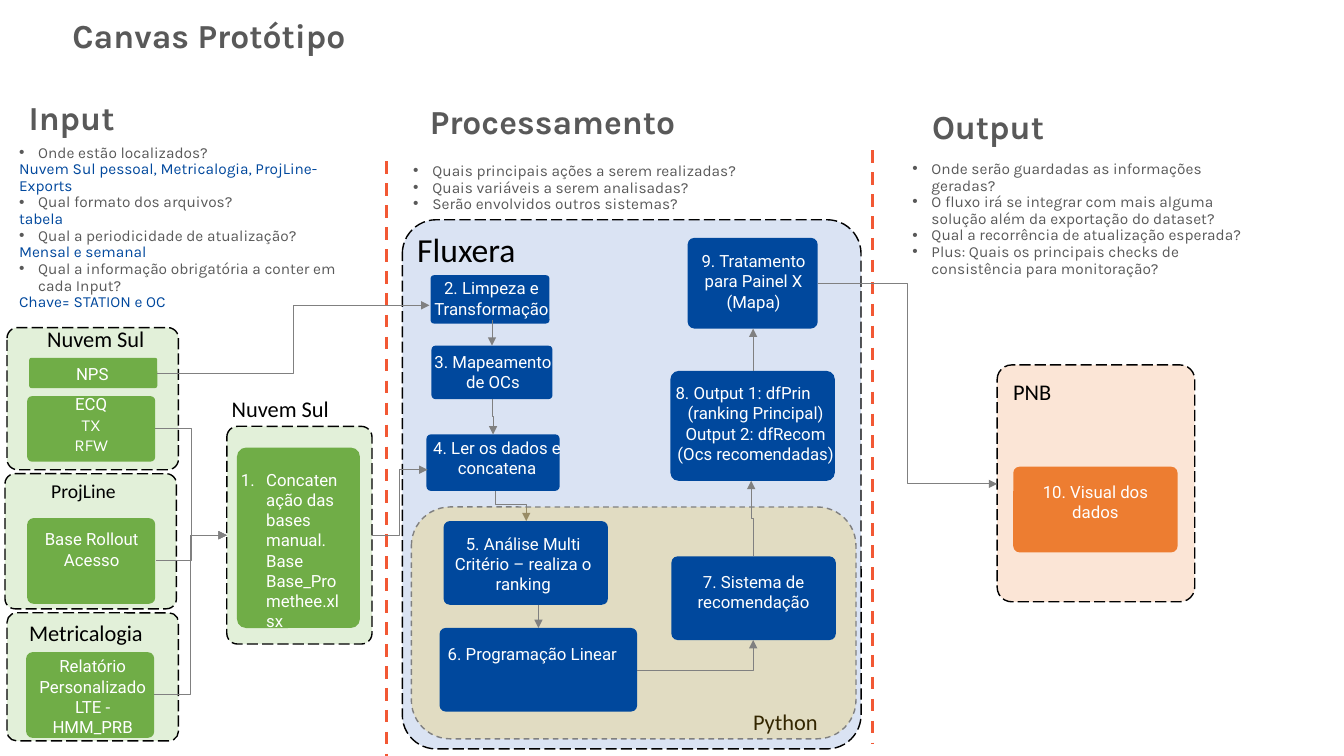
from lxml import etree
from pptx import Presentation
from pptx.dml import color
from pptx.enum import dml, shapes, text
from pptx.oxml import ns
from pptx.util import Inches, Pt


class Theme:
    head, body, label, dot = "Karla", "Roboto", "Calibri", "Arial"
    gray, blue, black, white = "595959", "00489D", "000000", "FFFFFF"
    green, orange, gold, link, rule = "70AD47", "ED7D31", "FFC000", "808080", "F25834"
    mint, sky, peach = "E2F0D9", "DAE3F3", "FBE5D6"
    big, mid, sub, box, ask = 24, 16, 14, 12, 11
    round = 0.074


# Content: places are left, top, width, height
HEADS = [
    ("Canvas Protótipo", (0.62, 0.07, 11.51, 0.6), "l"),
    ("Input", (-0.48, 0.84, 2.38, 0.69), "c"),
    ("Processamento", (4.15, 0.88, 2.66, 0.69), "c"),
    ("Output", (8.47, 0.93, 2.66, 0.69), "c"),
]
# Each question with its answer
ASKS = [
    ((0.09, 1.35, 3.61, 1.82), [
        ("Onde estão localizados?", "Nuvem Sul pessoal, Metricalogia, ProjLine-Exports"),
        ("Qual formato dos arquivos?", "tabela"),
        ("Qual a periodicidade de atualização?", "Mensal e semanal"),
        ("Qual a informação obrigatória a conter em cada Input?", "Chave= STATION e OC")]),
    ((4, 1.22, 3.49, 1.29), [
        ("Quais principais ações a serem realizadas?", ""),
        ("Quais variáveis a serem analisadas?", ""),
        ("Serão envolvidos outros sistemas?", "")]),
    ((8.95, 1.53, 3.49, 1.29), [
        ("Onde serão guardadas as informações geradas?", ""),
        ("O fluxo irá se integrar com mais alguma solução além da exportação do dataset?", ""),
        ("Qual a recorrência de atualização esperada?", ""),
        ("Plus: Quais os principais checks de consistência para monitoração?", "")]),
]
PANELS = [
    ((9.89, 3.62, 1.96, 2.35), Theme.peach),
    ((0.05, 4.7, 1.7, 1.34), Theme.mint),
    ((0.07, 6.08, 1.7, 1.27), Theme.mint),
    ((0.07, 3.25, 1.7, 1.41), Theme.mint),
    ((2.25, 4.23, 1.44, 2.16), Theme.mint),
    ((3.99, 2.18, 4.55, 5.25), Theme.sky),
]
LABELS = [
    ("Nuvem Sul", (0.37, 3.18, 1.35, 0.37), Theme.mid),
    ("ProjLine", (0.41, 4.7, 1.04, 0.34), Theme.sub),
    ("Metricalogia", (0.19, 6.09, 1.5, 0.37), Theme.mid),
    ("Nuvem Sul", (2.2, 3.87, 1.35, 0.37), Theme.mid),
    ("Fluxera", (4.04, 2.22, 1.5, 0.5), Theme.big),
    ("PNB", (9.95, 3.7, 0.8, 0.37), Theme.mid),
    ("Python", (7.37, 6.98, 0.95, 0.37), Theme.mid),
]
SCRIPT = (4.08, 5.03, 4.41, 2.3)
# Box place, fill, words, place of the words
BOXES = [
    ((0.29, 3.55, 1.27, 0.3), Theme.green, "NPS", (0.52, 3.61, 0.79, 0.2)),
    ((0.27, 3.93, 1.27, 0.65), Theme.green, "ECQ\nTX\nRFW", (0.51, 3.91, 0.79, 0.61)),
    ((0.27, 5.14, 1.27, 0.85), Theme.green, "Base Rollout Acesso", (0.31, 5.25, 1.2, 0.4)),
    ((0.26, 6.47, 1.27, 0.85), Theme.green, "Relatório Personalizado LTE - HMM_PRB",
     (0.39, 6.51, 1.06, 0.81)),
    ((2.35, 4.44, 1.22, 1.79), Theme.green,
     "Concatenação das bases manual. Base Base_Promethee.xlsx", (2.39, 4.66, 1.03, 1.41)),
    ((4.27, 2.73, 1.18, 0.48), Theme.blue, "2. Limpeza e Transformação", (4.26, 2.76, 1.23, 0.56)),
    ((4.28, 3.43, 1.2, 0.53), Theme.blue, "3. Mapeamento de OCs", (4.26, 3.49, 1.26, 0.4)),
    ((4.23, 4.31, 1.32, 0.56), Theme.blue, "4. Ler os dados e concatena", (4.24, 4.34, 1.38, 0.64)),
    ((4.4, 5.17, 1.63, 0.83), Theme.blue, "5. Análise Multi Critério – realiza o ranking",
     (4.44, 5.29, 1.5, 0.61)),
    ((4.36, 6.23, 1.96, 0.83), Theme.blue, "6. Programação Linear", (4.37, 6.39, 1.82, 0.2)),
    ((6.66, 5.52, 1.63, 0.83), Theme.blue, "7. Sistema de recomendação", (6.73, 5.67, 1.49, 0.4)),
    ((6.65, 3.68, 1.63, 1.09), Theme.blue,
     "8. Output 1: dfPrin\n(ranking Principal)\nOutput 2: dfRecom\n(Ocs recomendadas)",
     (6.7, 3.8, 1.59, 0.81)),
    ((6.82, 2.36, 1.29, 0.9), Theme.blue, "9. Tratamento para Painel X (Mapa)",
     (6.86, 2.49, 1.23, 0.61)),
    ((10.05, 4.63, 1.63, 0.85), Theme.orange, "10. Visual dos dados", (10.15, 4.78, 1.43, 0.2)),
]
# Start, end, first direction (h, v) or one corner only (c)
UNDER = ((4.91, 4.84), (5.22, 5.17), "v")
LINKS = [
    ((1.56, 3.7), (4.26, 3.03), "h"), ((1.54, 4.25), (2.25, 5.31), "h"),
    ((1.55, 5.56), (2.25, 5.31), "h"), ((1.53, 6.89), (2.25, 5.31), "h"),
    ((3.69, 5.31), (4.24, 4.66), "h"), ((8.11, 2.81), (9.89, 4.8), "h"),
    ((4.88, 3.17), (4.88, 3.43), "v"), ((4.88, 3.96), (4.89, 4.31), "v"),
    ((5.34, 6), (5.34, 6.23), "v"), ((7.47, 5.52), (7.45, 4.77), "v"),
    ((7.47, 3.68), (7.47, 3.26), "v"), ((6.32, 6.65), (7.47, 6.35), "c"),
]
RULES = [(3.83, 1.6, 7.5), (8.65, 1.49, 7.38)]

deck = Presentation()
deck.slide_width, deck.slide_height = Inches(13.33), Inches(7.5)
slide = deck.slides.add_slide(deck.slide_layouts[6])
SIDES = {"l": text.PP_ALIGN.LEFT, "c": text.PP_ALIGN.CENTER}


def rgb(tone):
    return color.RGBColor.from_string(tone)


def add(node, tag, **attrs):
    return etree.SubElement(node, ns.qn(tag), attrs)


def block(place, fill, dash=None, edge=Theme.black, bend=Theme.round):
    part = slide.shapes.add_shape(shapes.MSO_SHAPE.ROUNDED_RECTANGLE, *map(Inches, place))
    part.shadow.inherit = False
    part.adjustments[0] = bend
    part.fill.solid()
    part.fill.fore_color.rgb = rgb(fill)
    if dash:
        part.line.color.rgb = rgb(edge)
        part.line.width = Pt(1)
        part.line.dash_style = dash
    else:
        part.line.fill.background()
    return part


def words(place, copy, font, size, tone, side="l", bold=False):
    frame = slide.shapes.add_textbox(*map(Inches, place)).text_frame
    frame.word_wrap = True
    frame.text = copy
    for para in frame.paragraphs:
        para.alignment = SIDES[side]
        for run in para.runs:
            run.font.name, run.font.size, run.font.bold = font, Pt(size), bold
            run.font.color.rgb = rgb(tone)
    return frame


def center(frame):
    frame.vertical_anchor = text.MSO_ANCHOR.MIDDLE
    for para in frame.paragraphs:
        para.line_spacing = 0.9


def bullet(para, indent, font, tag, **attrs):
    props = para._p.get_or_add_pPr()
    props.set("marL", str(Inches(indent)))
    props.set("indent", str(-Inches(indent)))
    add(props, "a:buFont", typeface=font)
    add(props, tag, **attrs)


def wire(kind, start, end, tone, width):
    line = slide.shapes.add_connector(kind, *map(Inches, start + end))
    line.line.color.rgb = rgb(tone)
    line.line.width = Pt(width)
    add(line._element.spPr, "a:effectLst")
    return line


def arrow(start, end, way):
    (x, y), (x2, y2) = start, end
    if way == "v":  # lay the elbow flat about its centre, then turn it
        mx, my, long, tall = (x + x2) / 2, (y + y2) / 2, abs(y2 - y), abs(x2 - x)
        tilt = tall / 2 if (y2 > y) == (x2 > x) else -tall / 2
        start, end = (mx - long / 2, my + tilt), (mx + long / 2, my - tilt)
    line = wire(shapes.MSO_CONNECTOR.ELBOW, start, end, Theme.link, 0.5)
    props = line._element.spPr
    add(props.find(ns.qn("a:ln")), "a:tailEnd", type="triangle")
    if way == "v":
        turn = 90 if y2 > y else 270
        props.find(ns.qn("a:xfrm")).set("rot", str(turn * 60000))
    elif way == "c":
        props.find(ns.qn("a:prstGeom")).set("prst", "bentConnector2")


# Panels
for place, fill in PANELS:
    block(place, fill, dml.MSO_LINE.LONG_DASH)

# Headings and questions
for copy, place, side in HEADS:
    center(words(place, copy, Theme.head, Theme.big, Theme.gray, side, True))
for place, pairs in ASKS:
    rows = [(row, i) for pair in pairs for i, row in enumerate(pair) if row]
    frame = words(place, "\n".join(row for row, _ in rows), Theme.head, Theme.ask, Theme.gray)
    center(frame)
    for para, (_, reply) in zip(frame.paragraphs, rows):
        if reply:
            para.runs[0].font.color.rgb = rgb(Theme.blue)
        else:
            bullet(para, 0.19, Theme.dot, "a:buChar", char="•")

# Labels, then the see-through script panel
for copy, place, size in LABELS:
    words(place, copy, Theme.label, size, Theme.black)
arrow(*UNDER)
veil = block(SCRIPT, Theme.gold, dml.MSO_LINE.DASH, Theme.link, 0.167)
add(veil._element.spPr.find(ns.qn("a:solidFill"))[0], "a:alpha", val="20000")

# Step boxes
for place, fill, copy, spot in BOXES:
    block(place, fill)
    frame = words(spot, copy, Theme.body, Theme.box, Theme.white, "c")
    frame.margin_left = frame.margin_right = frame.margin_top = frame.margin_bottom = 0
    first = frame.paragraphs[0]
    if copy.startswith("Concat"):
        first.alignment = SIDES["l"]
        bullet(first, 0.25, Theme.body, "a:buAutoNum", type="arabicPeriod")
    elif copy.startswith("8."):
        first.alignment = SIDES["l"]
    elif copy.startswith("ECQ"):
        for para in frame.paragraphs[1:]:
            para.runs[0].font.name = Theme.head

# Column rules and arrows
for x, top, low in RULES:
    rule = wire(shapes.MSO_CONNECTOR.STRAIGHT, (x, top), (x, low), Theme.rule, 2.25)
    rule.line.dash_style = dml.MSO_LINE.DASH
for link in LINKS:
    arrow(*link)

deck.save("out.pptx")
